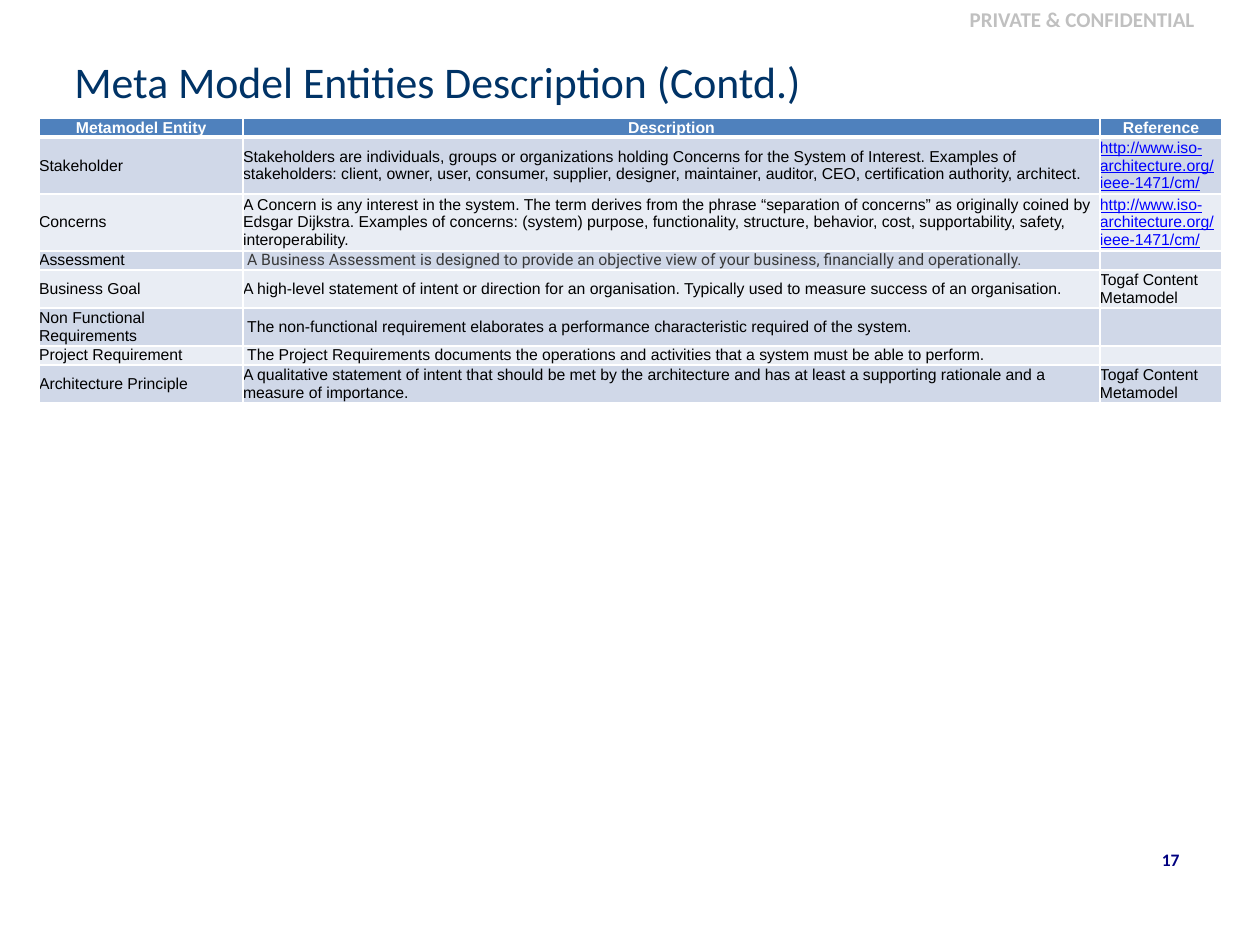
import dataclasses

import lxml.etree
import pptx
import pptx.dml.color
import pptx.enum.text
import pptx.oxml.ns
import pptx.util

ALIGN = pptx.enum.text.PP_ALIGN
ANCHOR = pptx.enum.text.MSO_ANCHOR
WIDTH, HEIGHT = 10, 7.5
TITLE_ONLY = 5


@dataclasses.dataclass(frozen=True)
class Theme:
    heading_font: str = "Calibri"
    body_font: str = "Arial"
    accent_font: str = "Roboto"
    title_size: float = 25
    label_size: float = 12
    number_size: float = 10
    table_size: float = 9
    title: str = "003366"
    label: str = "C0C0C0"
    number: str = "000080"
    header: str = "4F81BD"
    bands: tuple = ("D0D8E8", "E9EDF4")
    border: str = "FFFFFF"
    text: str = "000000"
    muted: str = "393939"
    link: str = "0000FF"


THEME = Theme()
HEADERS = ["Metamodel Entity", "Description", "Reference"]
COLUMN_WIDTHS = [1.62, 6.8, 0.97]
LINE_HEIGHT = 0.08
ISO_LINK = "http://www.iso-architecture.org/ieee-1471/cm/"
TOGAF = "Togaf Content Metamodel"

# Entity, description, reference, number of text lines in the row
ENTITIES = [
    ("Stakeholder",
     "Stakeholders are individuals, groups or organizations holding Concerns for the "
     "System of Interest. Examples of stakeholders: client, owner, user, consumer, "
     "supplier, designer, maintainer, auditor, CEO, certification authority, architect.",
     ISO_LINK, 3),
    ("Concerns",
     "A Concern is any interest in the system. The term derives from the phrase "
     "“separation of concerns” as originally coined by Edsgar Dijkstra. Examples of "
     "concerns: (system) purpose, functionality, structure, behavior, cost, "
     "supportability, safety, interoperability.",
     ISO_LINK, 3),
    ("Assessment",
     " A Business Assessment is designed to provide an objective view of your business, "
     "financially and operationally.",
     "", 1),
    ("Business Goal",
     "A high-level statement of intent or direction for an organisation. Typically used "
     "to measure success of an organisation.",
     TOGAF, 2),
    ("Non Functional Requirements",
     " The non-functional requirement elaborates a performance characteristic required "
     "of the system.",
     "", 1),
    ("Project Requirement",
     " The Project Requirements documents the operations and activities that a system "
     "must be able to perform.",
     "", 1),
    ("Architecture Principle",
     "A qualitative statement of intent that should be met by the architecture and has "
     "at least a supporting rationale and a measure of importance.",
     TOGAF, 2),
]


def rgb(value):
    return pptx.dml.color.RGBColor.from_string(value)


def write(tf, text, *, size, font, color, bold=False, underline=False,
          align=ALIGN.LEFT, anchor=ANCHOR.TOP):
    """Put one formatted run into the first paragraph of a text frame."""
    tf.vertical_anchor = anchor
    p = tf.paragraphs[0]
    p.alignment = align
    r = p.add_run()
    r.text = text
    r.font.size = pptx.util.Pt(size)
    r.font.name = font
    r.font.bold = bold
    r.font.underline = underline
    r.font.color.rgb = rgb(color)


def place(sp, x, y, w, h):
    """Position a shape by shares of the slide's size."""
    sp.left, sp.width = (pptx.util.Inches(v * WIDTH) for v in (x, w))
    sp.top, sp.height = (pptx.util.Inches(v * HEIGHT) for v in (y, h))


def add_title(slide, text):
    sp = slide.shapes.title
    place(sp, 0.049, 0.037, 0.891, 0.097)
    write(sp.text_frame, text, size=THEME.title_size, font=THEME.heading_font,
          color=THEME.title, anchor=ANCHOR.MIDDLE)


def add_label(slide, text, box, **style):
    sp = slide.shapes.add_textbox(0, 0, 0, 0)
    place(sp, *box)
    sp.text_frame.word_wrap = True
    write(sp.text_frame, text, font=THEME.heading_font, bold=True,
          align=ALIGN.RIGHT, **style)


def set_borders(cell, top=1, bottom=1):
    """Draw the four cell borders; they must precede the fill in tcPr."""
    tc_pr = cell._tc.get_or_add_tcPr()
    widths = {"a:lnL": 1, "a:lnR": 1, "a:lnT": top, "a:lnB": bottom}
    for i, (tag, width) in enumerate(widths.items()):
        ln = lxml.etree.Element(pptx.oxml.ns.qn(tag), w=str(pptx.util.Pt(width)))
        fill = lxml.etree.SubElement(ln, pptx.oxml.ns.qn("a:solidFill"))
        lxml.etree.SubElement(fill, pptx.oxml.ns.qn("a:srgbClr"), val=THEME.border)
        tc_pr.insert(i, ln)


def fill_cell(cell, text, fill, top=1, bottom=1, **style):
    cell.margin_left = cell.margin_right = cell.margin_top = cell.margin_bottom = 0
    cell.vertical_anchor = style.pop("anchor", ANCHOR.MIDDLE)
    cell.fill.solid()
    cell.fill.fore_color.rgb = rgb(fill)
    set_borders(cell, top, bottom)
    if text:
        style = {"font": THEME.body_font, "color": THEME.text, **style}
        write(cell.text_frame, text, size=THEME.table_size,
              anchor=cell.vertical_anchor, **style)
    else:
        # Keep the empty line as small as the text around it
        lxml.etree.SubElement(cell.text_frame.paragraphs[0]._p,
                              pptx.oxml.ns.qn("a:endParaRPr"),
                              sz=str(THEME.table_size * 100))


def body_style(entity, column, text):
    if text == ISO_LINK:
        return {"color": THEME.link, "underline": True}
    if entity == "Assessment" and column == 1:
        return {"color": THEME.muted, "font": THEME.accent_font}
    return {}


def add_entity_table(slide):
    frame = slide.shapes.add_table(len(ENTITIES) + 1, len(HEADERS), 0, 0, 0, 0)
    place(frame, 0.031, 0.125, 0.939, 0.303)
    table = frame.table
    table.horz_banding = False
    for column, width in zip(table.columns, COLUMN_WIDTHS):
        column.width = pptx.util.Inches(width)
    for row, lines in zip(table.rows, [1] + [entity[-1] for entity in ENTITIES]):
        row.height = pptx.util.Inches(lines * LINE_HEIGHT)

    # Header row
    for c, text in enumerate(HEADERS):
        fill_cell(table.cell(0, c), text, THEME.header, bottom=3, color=THEME.border,
                  bold=True, align=ALIGN.CENTER,
                  anchor=ANCHOR.MIDDLE if c else ANCHOR.BOTTOM)

    # Banded entity rows
    for i, (*texts, _) in enumerate(ENTITIES):
        for c, text in enumerate(texts):
            fill_cell(table.cell(i + 1, c), text, THEME.bands[i % 2],
                      top=1 if i else 3, **body_style(texts[0], c, text))


def main():
    prs = pptx.Presentation()
    prs.slide_width = pptx.util.Inches(WIDTH)
    prs.slide_height = pptx.util.Inches(HEIGHT)
    slide = prs.slides.add_slide(prs.slide_layouts[TITLE_ONLY])

    add_label(slide, "PRIVATE & CONFIDENTIAL", (0.617, 0, 0.341, 0.039),
              size=THEME.label_size, color=THEME.label)
    add_title(slide, "Meta Model Entities Description (Contd.)")
    add_label(slide, "17", (0.906, 0.892, 0.04, 0.04),
              size=THEME.number_size, color=THEME.number)
    add_entity_table(slide)
    prs.save("out.pptx")


if __name__ == "__main__":
    main()
